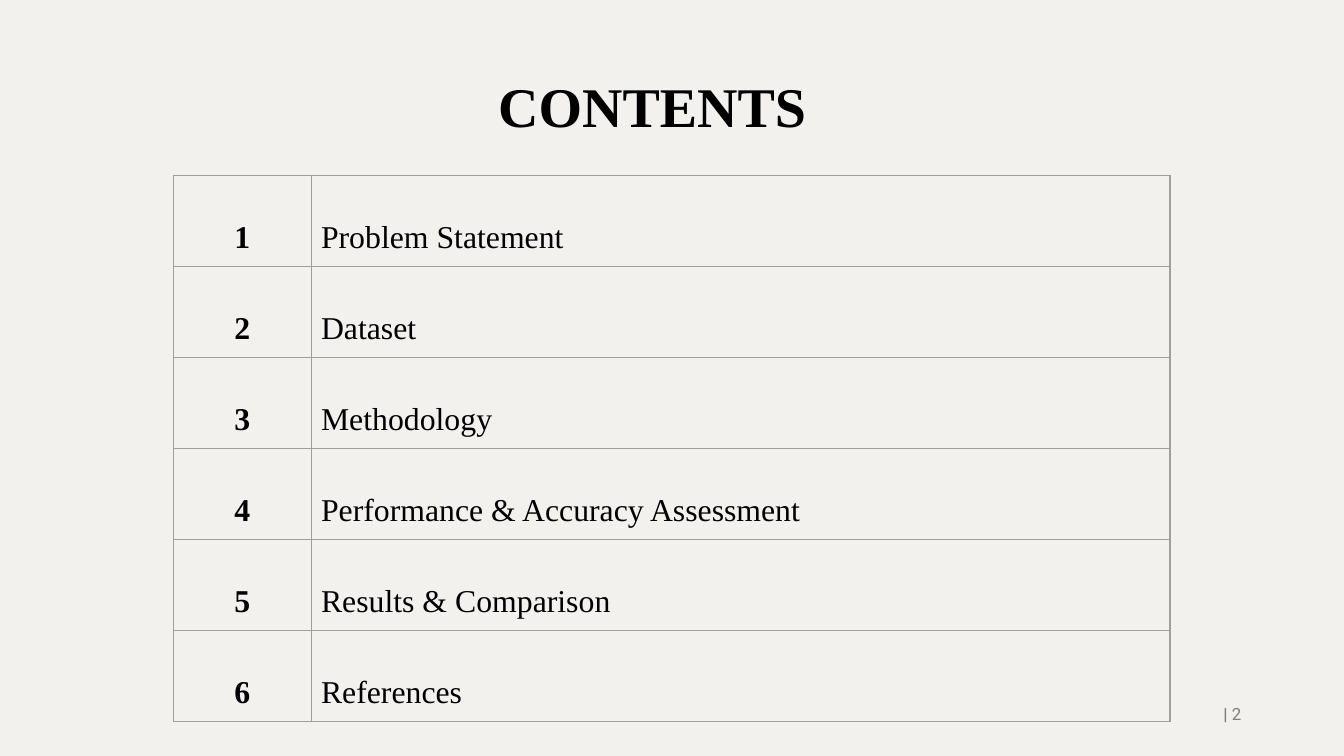
"""Builds the contents slide with a numbered table."""
from lxml import etree
from pptx import Presentation
from pptx import util as u
from pptx.dml.color import RGBColor
from pptx.enum import text
from pptx.oxml.ns import qn

COLORS = {"bg": "F2F1EE", "ink": "000000", "line": "9E9E9E", "page": "7F7F7F"}
TOPICS = ["Problem Statement", "Dataset", "Methodology",
          "Performance & Accuracy Assessment", "Results & Comparison", "References"]


class Deck:
    def __init__(self):
        self.prs = Presentation()
        self.prs.slide_width, self.prs.slide_height = u.Pt(720), u.Pt(405)
        self.serif, self.sans = "Times New Roman", "Roboto"
        self.s = self.prs.slides.add_slide(self.prs.slide_layouts[5])
        fill = self.s.background.fill
        fill.solid()
        fill.fore_color.rgb = self.color("bg")

    def color(self, name):
        return RGBColor.from_string(COLORS[name])

    def format(self, r, size, font, color, bold):
        r.font.size, r.font.name, r.font.bold = u.Pt(size), font, bold
        r.font.color.rgb = self.color(color)

    def frame(self, sp, anchor):
        tf = sp.text_frame
        tf.word_wrap, tf.auto_size = True, text.MSO_AUTO_SIZE.NONE
        tf.vertical_anchor = anchor
        tf.margin_left = tf.margin_right = u.Pt(5.4)
        tf.margin_top = tf.margin_bottom = u.Pt(2.7)
        return tf

    def title(self, words, x, y, w, h):
        sp = self.s.shapes.title
        sp.left, sp.top, sp.width, sp.height = map(u.Pt, (x, y, w, h))
        tf = self.frame(sp, text.MSO_ANCHOR.BOTTOM)
        tf.text = words
        p = tf.paragraphs[0]
        p.alignment, p.line_spacing = text.PP_ALIGN.LEFT, 2.0
        self.format(p.runs[0], 30, self.serif, "ink", True)

    def cell(self, cell, words, align, bold):
        cell.margin_left = cell.margin_right = u.Pt(5.2)
        cell.margin_top = cell.margin_bottom = u.Pt(5)
        cell.text_frame.text = words
        p = cell.text_frame.paragraphs[0]
        p.alignment, p.line_spacing = align, 2.0
        self.format(p.runs[0], 17, self.serif, "ink", bold)
        tcPr = cell._tc.get_or_add_tcPr()
        for side in ("a:lnL", "a:lnR", "a:lnT", "a:lnB"):
            ln = etree.SubElement(tcPr, qn(side), w=str(u.Pt(0.75)))
            solid = etree.SubElement(ln, qn("a:solidFill"))
            etree.SubElement(solid, qn("a:srgbClr"), val=COLORS["line"])
        cell.fill.background()

    def table(self, topics, x, y, widths, row_h):
        n = len(topics)
        shape = self.s.shapes.add_table(n, len(widths), u.Pt(x), u.Pt(y),
                                        u.Pt(sum(widths)), u.Pt(row_h * n))
        tbl = shape.table
        tbl.first_row = tbl.horz_banding = False
        for col, w in zip(tbl.columns, widths):
            col.width = u.Pt(w)
        for i, topic in enumerate(topics):
            tbl.rows[i].height = u.Pt(row_h)
            self.cell(tbl.cell(i, 0), str(i + 1), text.PP_ALIGN.CENTER, True)
            self.cell(tbl.cell(i, 1), topic, text.PP_ALIGN.LEFT, False)

    def page_number(self, number, x, y, w, h):
        sp = self.s.shapes.add_textbox(*map(u.Pt, (x, y, w, h)))
        p = self.frame(sp, text.MSO_ANCHOR.MIDDLE).paragraphs[0]
        p.alignment = text.PP_ALIGN.RIGHT
        for words, bold in (("| ", True), (str(number), False)):
            r = p.add_run()
            r.text = words
            self.format(r, 9, self.sans, "page", bold)


def main():
    deck = Deck()
    deck.title("CONTENTS", 261.5, 24, 197, 53)
    deck.table(TOPICS, 92.8, 94, (74, 460), 48.8)
    deck.page_number(2, 638, 371, 32.4, 22.4)
    deck.prs.save("out.pptx")


if __name__ == "__main__":
    main()
